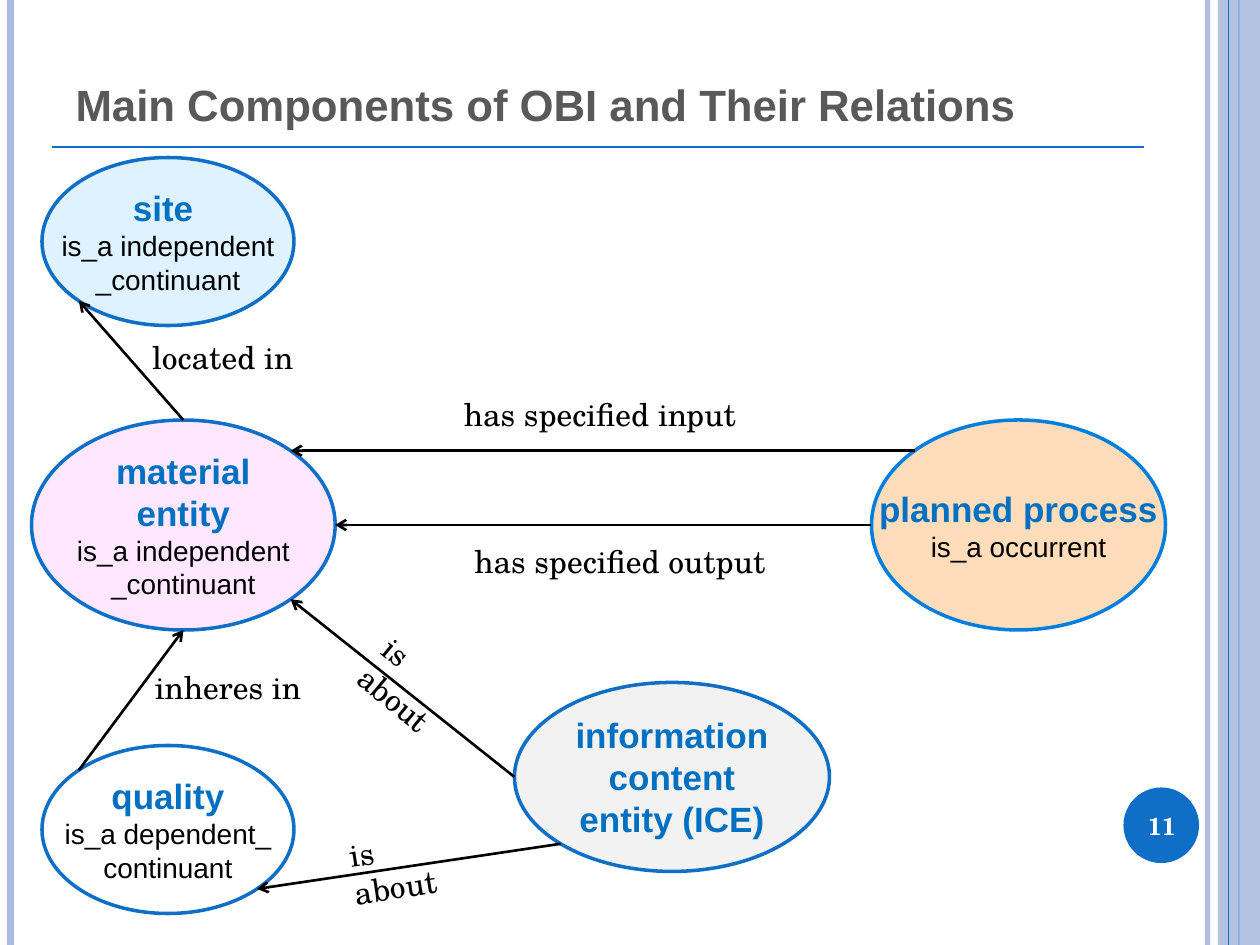
import math

from lxml import etree
from pptx import Presentation
from pptx import util as u
from pptx.dml import color
from pptx.enum import shapes, text
from pptx.oxml import ns

COLORS = {
    "accent": "0F6FC6", "process_line": "007FDE", "edge": "AABBDF",
    "heading": "0070C0", "title": "595959", "black": "000000", "white": "FFFFFF",
    "pink": "FFCCFF", "gray": "F2F2F2", "orange": "FFCC99", "sky": "CCECFF",
}
SANS, SERIF = "Arial", "TeX Gyre Schola"


def rgb(name):
    return color.RGBColor.from_string(COLORS[name])


def points(values):
    return [u.Pt(value) for value in values]


def set_alpha(fill_parent, percent):
    for tone in fill_parent.iter(ns.qn("a:srgbClr")):
        etree.SubElement(tone, ns.qn("a:alpha"), val=str(percent * 1000))


def add_run(para, words, size, font, tone, bold=False):
    span = para.add_run()
    span.text = words
    span.font.size = u.Pt(size)
    span.font.name = font
    span.font.bold = bold
    span.font.color.rgb = rgb(tone)


def add_solid(page, kind, place, tone, opacity=100):
    shape = page.shapes.add_shape(kind, *points(place))
    shape.shadow.inherit = False
    shape.fill.solid()
    shape.fill.fore_color.rgb = rgb(tone)
    if opacity < 100:
        set_alpha(shape._element.spPr, opacity)
    shape.line.fill.background()
    return shape


def add_line(page, start, end, tone, width, opacity=100):
    line = page.shapes.add_connector(
        shapes.MSO_CONNECTOR.STRAIGHT, *points(start + end))
    line.line.color.rgb = rgb(tone)
    line.line.width = u.Pt(width)
    if opacity < 100:
        set_alpha(line._element.spPr, opacity)
    etree.SubElement(line._element.spPr, ns.qn("a:effectLst"))
    return line


def add_entity(page, place, fill, opacity, heading, details=(),
               outline="accent", wrap=False, inset=(0, 0)):
    oval = add_solid(page, shapes.MSO_SHAPE.OVAL, place, fill, opacity)
    oval.line.color.rgb = rgb(outline)
    oval.line.width = u.Pt(2)
    frame = oval.text_frame
    frame.word_wrap = wrap
    frame.vertical_anchor = text.MSO_ANCHOR.MIDDLE
    frame.margin_left = frame.margin_right = u.Pt(inset[0])
    frame.margin_top = frame.margin_bottom = u.Pt(inset[1])
    para = frame.paragraphs[0]
    para.alignment = text.PP_ALIGN.CENTER
    add_run(para, heading, 20, SANS, "heading", True)
    for detail in details:
        para = frame.add_paragraph()
        para.alignment = text.PP_ALIGN.CENTER
        add_run(para, detail, 16, SANS, "black")
    return oval


def oval_site(oval, index):
    angle = math.radians(45 * index)
    return (
        (oval.left + oval.width / 2 * (1 - math.sin(angle))) / u.Pt(1),
        (oval.top + oval.height / 2 * (1 - math.cos(angle))) / u.Pt(1),
    )


def add_relation(page, source, source_site, target, target_site):
    arrow = add_line(page, oval_site(source, source_site),
                     oval_site(target, target_site), "black", 1.5)
    etree.SubElement(arrow.line._get_or_add_ln(), ns.qn("a:tailEnd"), type="arrow")
    joints = arrow._element.nvCxnSpPr.cNvCxnSpPr
    for tag, oval, site in (("a:stCxn", source, source_site),
                            ("a:endCxn", target, target_site)):
        etree.SubElement(joints, ns.qn(tag), id=str(oval.shape_id), idx=str(site))


def add_label(page, words, left, top, width, rotation=0):
    box = page.shapes.add_textbox(*points((left, top, width, 29)))
    box.rotation = rotation
    box.text_frame.word_wrap = rotation == 0
    add_run(box.text_frame.paragraphs[0], words, 18, SERIF, "black")


def add_frame(page):
    for x, tone, width, opacity in ((690, "edge", 3, 93), (6, "edge", 4.5, 100),
                                    (708, "accent", 1.5, 100)):
        add_line(page, (x, 0), (x, 540), tone, width, opacity)
    add_solid(page, shapes.MSO_SHAPE.RECTANGLE, (696, 0, 24, 540), "edge", 87)
    add_line(page, (702, 0), (702, 540), "accent", 0.75)
    add_line(page, (30, 84), (654, 84), "accent", 0.75)


def add_page_number(page, number):
    add_solid(page, shapes.MSO_SHAPE.OVAL, (642, 450, 43.2, 43.2), "accent")
    box = page.shapes.add_textbox(*points((640, 451.5, 48, 41)))
    box.text_frame.word_wrap = True
    box.text_frame.vertical_anchor = text.MSO_ANCHOR.MIDDLE
    para = box.text_frame.paragraphs[0]
    para.alignment = text.PP_ALIGN.CENTER
    add_run(para, number, 14, SERIF, "white", True)


def set_title(page, words):
    title = page.shapes.title
    title.left, title.top, title.width, title.height = points((36, 21.6, 600, 56.2))
    frame = title.text_frame
    frame.auto_size = text.MSO_AUTO_SIZE.NONE
    frame.vertical_anchor = text.MSO_ANCHOR.BOTTOM
    para = frame.paragraphs[0]
    para.alignment = text.PP_ALIGN.LEFT
    add_run(para, words, 25, SANS, "title", True)


def main():
    deck = Presentation()
    deck.slide_width, deck.slide_height = points((720, 540))
    page = deck.slides.add_slide(deck.slide_layouts[5])
    add_frame(page)
    set_title(page, "Main Components of OBI and Their Relations")
    add_page_number(page, "11")

    material = add_entity(page, (18, 240, 173.5, 120), "pink", 45, "material entity",
                          ("is_a independent", "_continuant"), wrap=True)
    information = add_entity(page, (294, 390, 180, 108), "gray", 100,
                             "information content entity (ICE)",
                             wrap=True, inset=(7.2, 3.6))
    process = add_entity(page, (498, 240, 168, 120), "orange", 66, "planned process",
                         ("is_a occurrent",), outline="process_line")
    quality = add_entity(page, (24, 426, 144, 96), "white", 100, "quality",
                         ("is_a dependent_", "continuant"))
    site = add_entity(page, (24, 90, 144, 96), "sky", 64, "site ",
                      ("is_a independent", "_continuant"))

    for relation in (
        (process, 1, material, 7),
        (process, 2, material, 6),
        (quality, 1, material, 4),
        (information, 2, material, 5),
        (material, 0, site, 3),
        (information, 3, quality, 5),
    ):
        add_relation(page, *relation)

    for label in (
        ("located in", 79.8, 189.5, 106.5),
        ("has specified input", 258, 222, 186.5),
        ("has specified output", 264, 306, 186.5),
        ("inheres in", 81.4, 378, 105),
        ("is about", 206.6, 374.4, 80, 39.9),
        ("is about", 192.2, 469.4, 80, 351.3),
    ):
        add_label(page, *label)

    deck.save("out.pptx")


if __name__ == "__main__":
    main()
